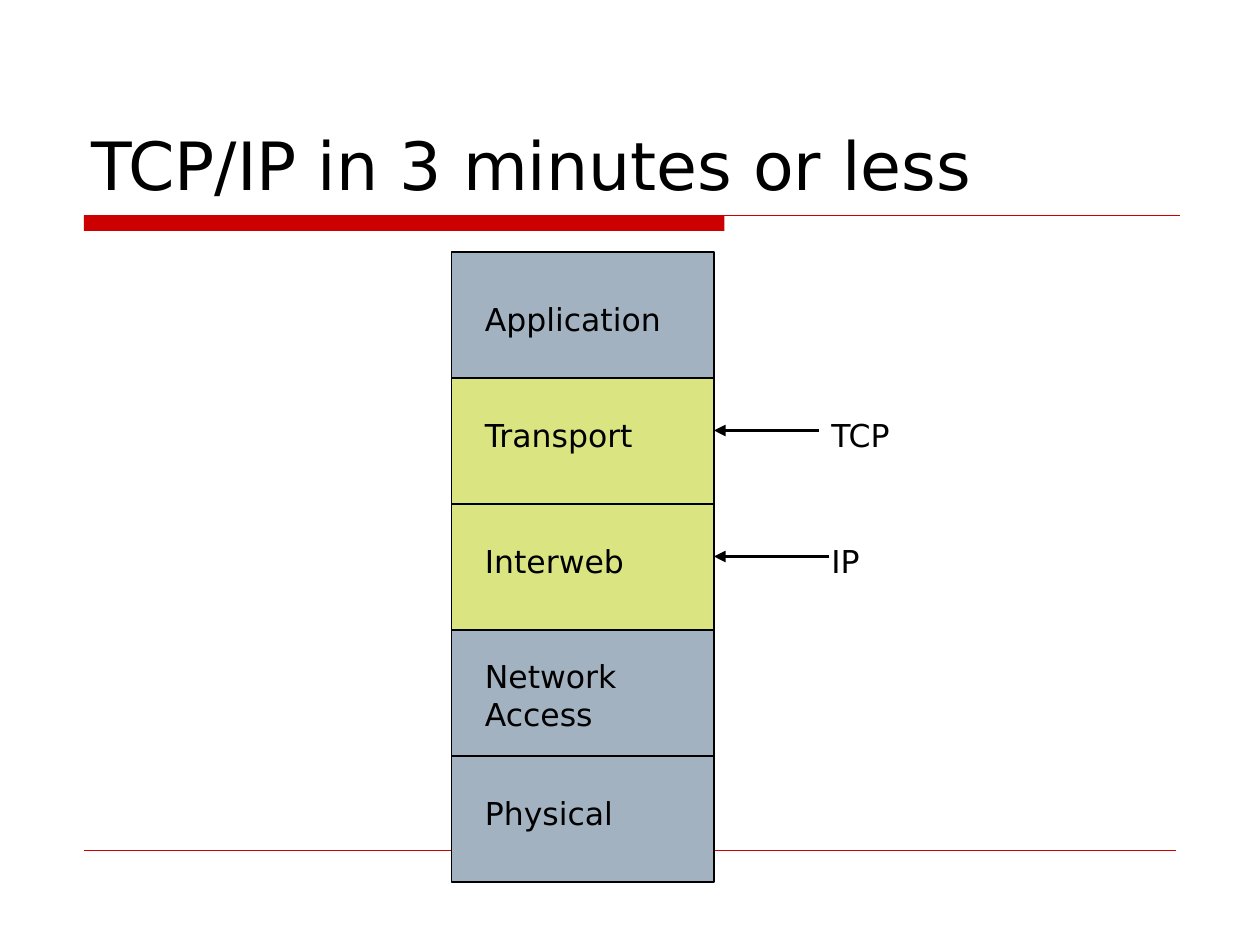
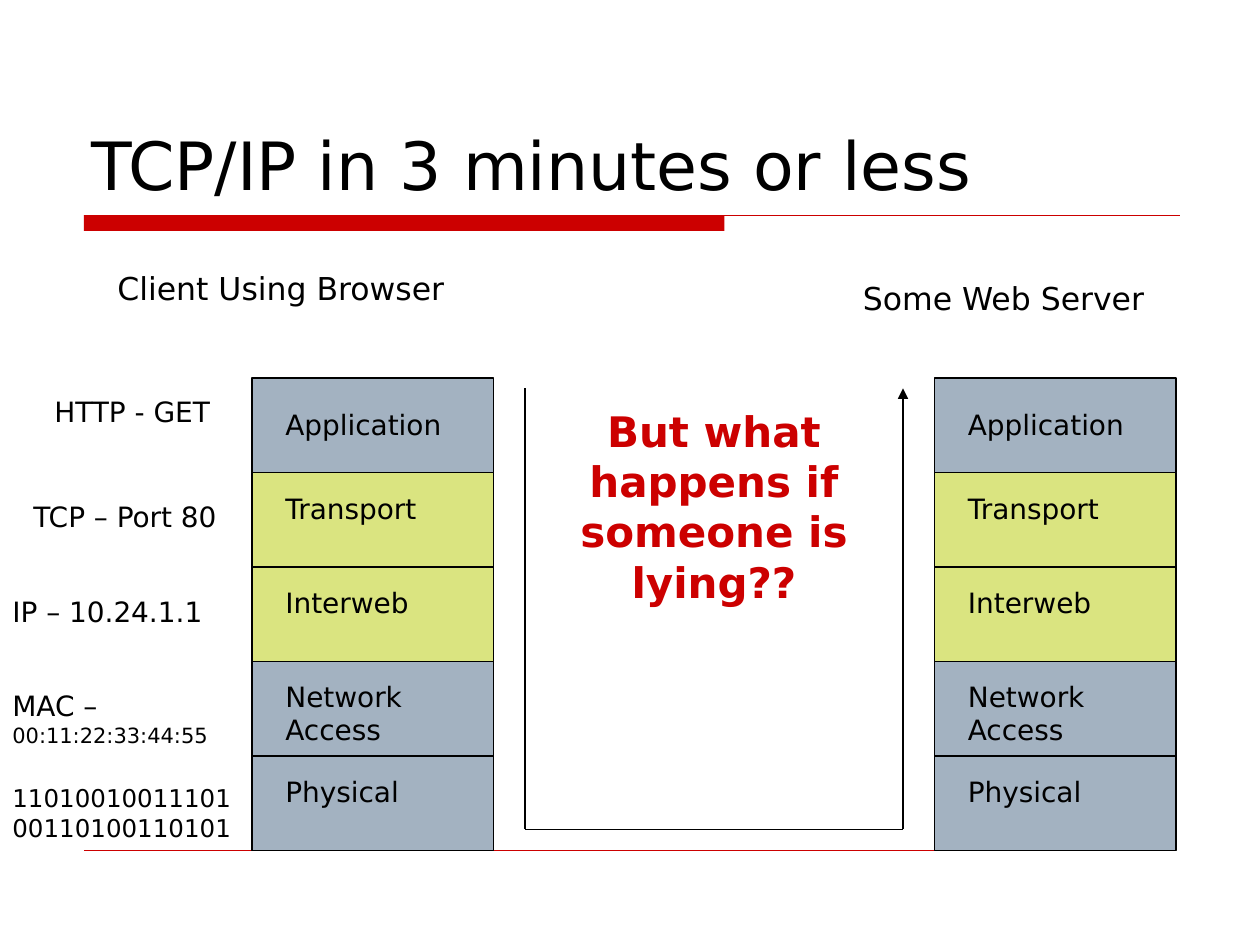
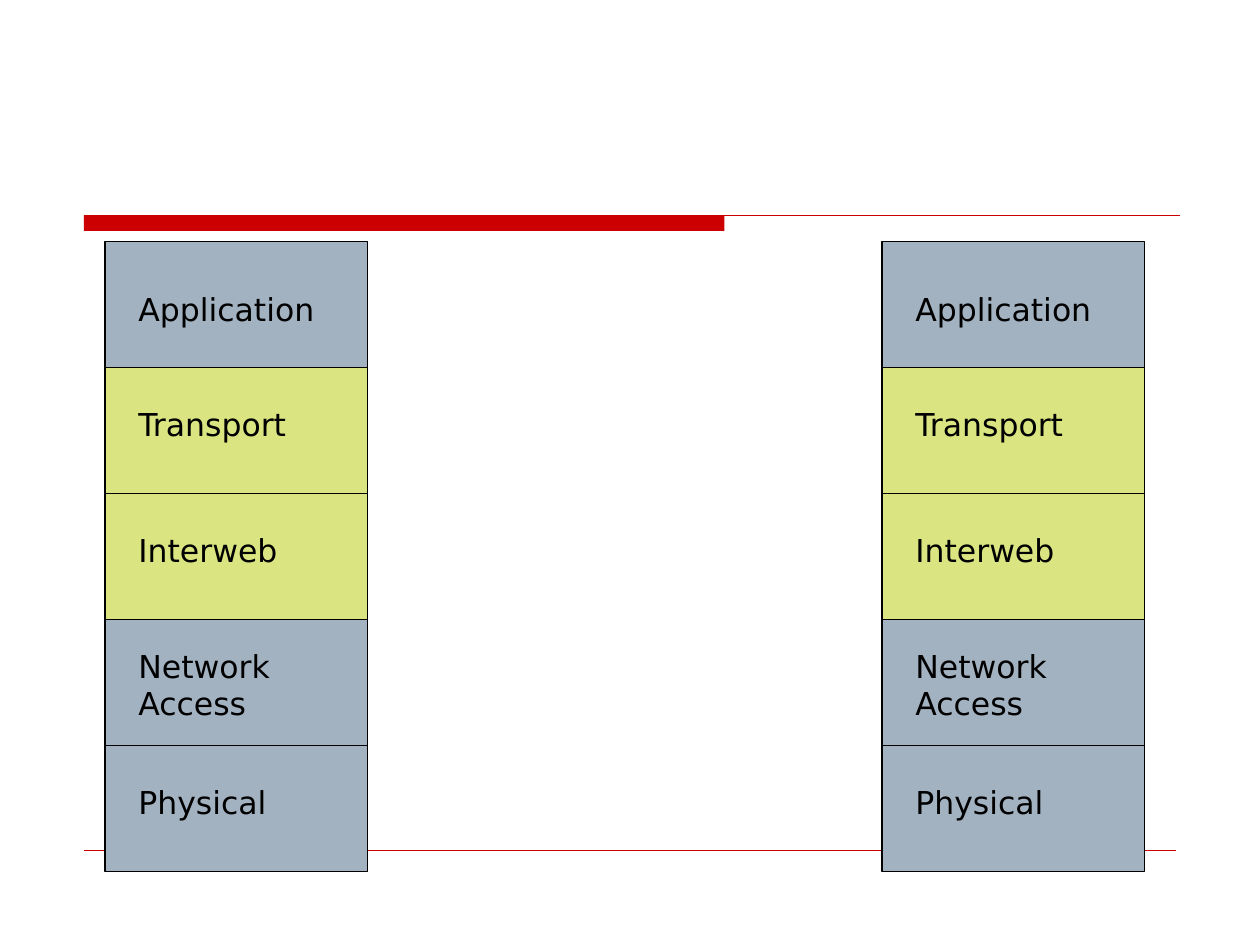
from pptx import Presentation
from pptx.dml.color import RGBColor
from pptx.enum.shapes import MSO_CONNECTOR, MSO_SHAPE
from pptx.enum.text import MSO_ANCHOR, MSO_AUTO_SIZE, PP_ALIGN
from pptx.oxml.xmlchemy import OxmlElement
from pptx.util import Inches, Pt

RECTANGLE = MSO_SHAPE.RECTANGLE
STRAIGHT = MSO_CONNECTOR.STRAIGHT
BOTTOM = MSO_ANCHOR.BOTTOM
NO_FIT, FIT_SHAPE = MSO_AUTO_SIZE.NONE, MSO_AUTO_SIZE.SHAPE_TO_FIT_TEXT
LEFT, CENTER = PP_ALIGN.LEFT, PP_ALIGN.CENTER

BLACK = RGBColor(0x00, 0x00, 0x00)
RED = RGBColor(0xCC, 0x00, 0x00)
STEEL = RGBColor(0xA3, 0xB2, 0xC1)
LIME = RGBColor(0xDA, 0xE4, 0x80)

FONT = "DejaVu Sans"
COLUMNS, ROWS = 120, 90
SLIDE_W, SLIDE_H = Inches(10), Inches(7.5)
TITLE_ONLY, BLANK = 5, 6
TITLE = "TCP/IP in 3 minutes or less"

LAYERS = [
    ("Application", STEEL, 1),
    ("Transport", LIME, 1),
    ("Interweb", LIME, 1),
    ("Network Access", STEEL, 2),
    ("Physical", STEEL, 1),
]
TALL = {"width": 25, "layer": 12, "size": 18, "drops": (4, 3, 3, 2, 3)}
SHORT = {"width": 23, "layer": 9, "size": 16, "drops": (2.2, 1.2, 1.2, 1.1, 1.2)}


def x(columns):
    """Return the length of a number of grid columns."""
    return round(SLIDE_W * columns / COLUMNS)


def y(rows):
    """Return the length of a number of grid rows."""
    return round(SLIDE_H * rows / ROWS)


def style(r, size, color=BLACK, bold=False):
    """Format one run."""
    r.font.name, r.font.size, r.font.bold = FONT, Pt(size), bold
    r.font.color.rgb = color


def add_box(slide, left, top, width, height, fill):
    """Add a filled rectangle without outline."""
    sp = slide.shapes.add_shape(RECTANGLE, x(left), y(top), x(width), y(height))
    sp.shadow.inherit = False
    sp.fill.solid()
    sp.fill.fore_color.rgb = fill
    sp.line.fill.background()
    return sp


def add_line(slide, start, end, weight, color=BLACK, arrow=False):
    """Add a straight line, with an arrowhead at its end if asked."""
    line = slide.shapes.add_connector(STRAIGHT, x(start[0]), y(start[1]), x(end[0]), y(end[1]))
    line.line.color.rgb = color
    line.line.width = Pt(weight)
    if arrow:
        head = OxmlElement("a:tailEnd")
        head.set("type", "triangle")
        line.line._get_or_add_ln().append(head)
    line.element.spPr.append(OxmlElement("a:effectLst"))
    return line


def add_text(slide, left, top, width, runs, lines=1, color=BLACK, bold=False, align=LEFT):
    """Add wrapped text, as tall as its lines, from (text, size) runs."""
    mean_size = sum(size for _, size in runs) / len(runs)
    height = 1.2 + 0.2 * mean_size * lines
    sp = slide.shapes.add_textbox(x(left), y(top), x(width), y(height))
    tf = sp.text_frame
    tf.word_wrap, tf.auto_size = True, FIT_SHAPE
    p = tf.paragraphs[0]
    p.alignment = align
    for text, size in runs:
        r = p.add_run()
        r.text = text
        style(r, size, color, bold)


def decorate_master(prs, slide):
    """Draw the red band and rules and move them to the slide master."""
    parts = [
        add_box(slide, 8, 20.5, 61, 1.5, RED),
        add_line(slide, (8, 20.5), (112.4, 20.5), 0.75, RED),
        add_line(slide, (8, 81), (112, 81), 0.25, RED),
    ]
    for number, part in enumerate(parts, 100):
        part.element.xpath(".//p:cNvPr")[0].set("id", str(number))
        prs.slide_master.shapes.element.append(part.element)


def set_title(slide):
    """Place and format the title placeholder."""
    sp = slide.shapes.title
    sp.left, sp.top, sp.width, sp.height = x(7.5), y(4), x(105), y(16)
    tf = sp.text_frame
    tf.text = TITLE
    tf.word_wrap, tf.auto_size, tf.vertical_anchor = True, NO_FIT, BOTTOM
    p = tf.paragraphs[0]
    p.alignment = LEFT
    style(p.runs[0], 38)


def add_stack(slide, left, top, width, layer, size, drops):
    """Draw the five protocol layers with their labels."""
    for i, (name, fill, lines) in enumerate(LAYERS):
        row = top + i * layer
        sp = add_box(slide, left, row, width, layer, fill)
        sp.line.color.rgb = BLACK
        sp.line.width = Pt(0.75)
        label_width = width * (0.8 if lines == 1 else 0.84)
        add_text(slide, left + 2, row + drops[i], label_width, [(name, size)], lines)


def add_protocol(slide, name, top, start):
    """Name the protocol of a layer and point an arrow at the stack."""
    add_text(slide, 78, top, 24, [(name, 18)])
    add_line(slide, (start, top + 2), (68, top + 2), 2.25, arrow=True)


def add_client_data(slide):
    """List what the client sends at each layer."""
    for left, top, width, lines, runs in [
        (4, 37, 18, 1, [("HTTP - GET", 16)]),
        (2, 47, 22, 1, [("TCP – Port 80", 16)]),
        (0, 56, 22, 1, [("IP – 10.24.1.1", 16)]),
        (0, 65, 24, 2, [("MAC – ", 16), ("00:11:22:33:44:55", 12)]),
        (0, 74, 24, 2, [("1101001001110100110100110101", 14)]),
    ]:
        add_text(slide, left, top, width, runs, lines)


def add_route(slide, left, top, width, height):
    """Draw the way down, across and up between the stacks, with its question."""
    right, bottom = left + width, top + height
    corners = [(left, top), (left, bottom), (right, bottom), (right, top)]
    for i, (start, end) in enumerate(zip(corners, corners[1:])):
        add_line(slide, start, end, 0.75, arrow=i == 2)
    question = [("But what happens if someone is lying??", 24)]
    add_text(slide, left, top + 1, width, question, 4, RED, True, CENTER)


def build_layers_slide(slide):
    """Show the stack and where TCP and IP sit in it."""
    set_title(slide)
    add_stack(slide, 43, 24, **TALL)
    add_protocol(slide, "TCP", 39, 78)
    add_protocol(slide, "IP", 51, 79)


def build_exchange_slide(slide):
    """Show a client talking to a server through both stacks."""
    set_title(slide)
    for left in (89, 24):
        add_stack(slide, left, 36, **SHORT)
    add_text(slide, 10, 25, 43, [("Client Using Browser", 18)])
    add_text(slide, 81, 26, 33, [("Some Web Server", 18)])
    add_client_data(slide)
    add_route(slide, 50, 37, 36, 42)


def build_stacks_slide(slide):
    """Show the two stacks alone."""
    for left in (10, 84):
        add_stack(slide, left, 23, **TALL)


def main():
    """Build and save the presentation."""
    prs = Presentation()
    prs.slide_width, prs.slide_height = SLIDE_W, SLIDE_H
    pages = [
        (TITLE_ONLY, build_layers_slide),
        (TITLE_ONLY, build_exchange_slide),
        (BLANK, build_stacks_slide),
    ]
    for i, (layout, build) in enumerate(pages):
        slide = prs.slides.add_slide(prs.slide_layouts[layout])
        if i == 0:
            decorate_master(prs, slide)
        build(slide)
    prs.save("out.pptx")


if __name__ == "__main__":
    main()
